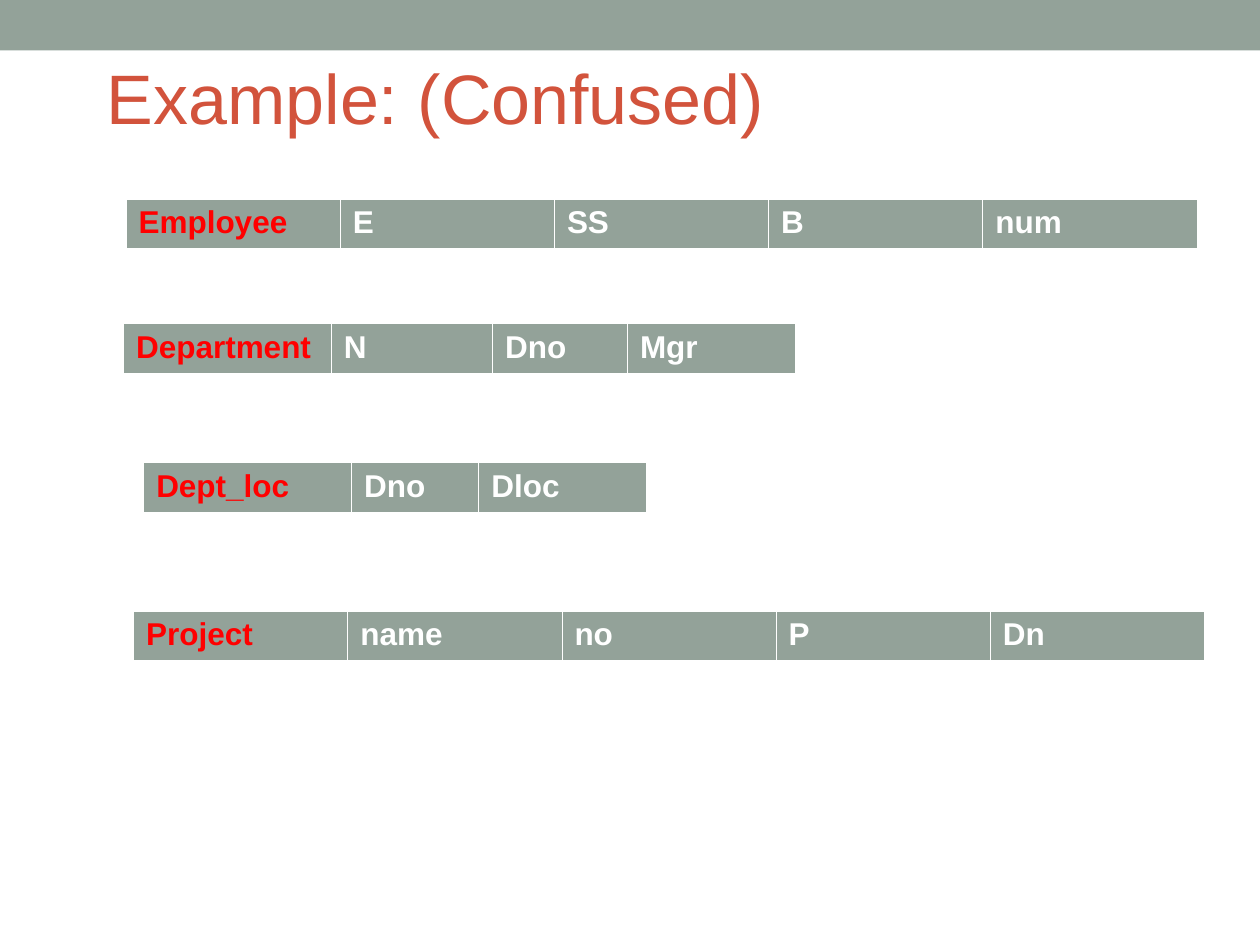
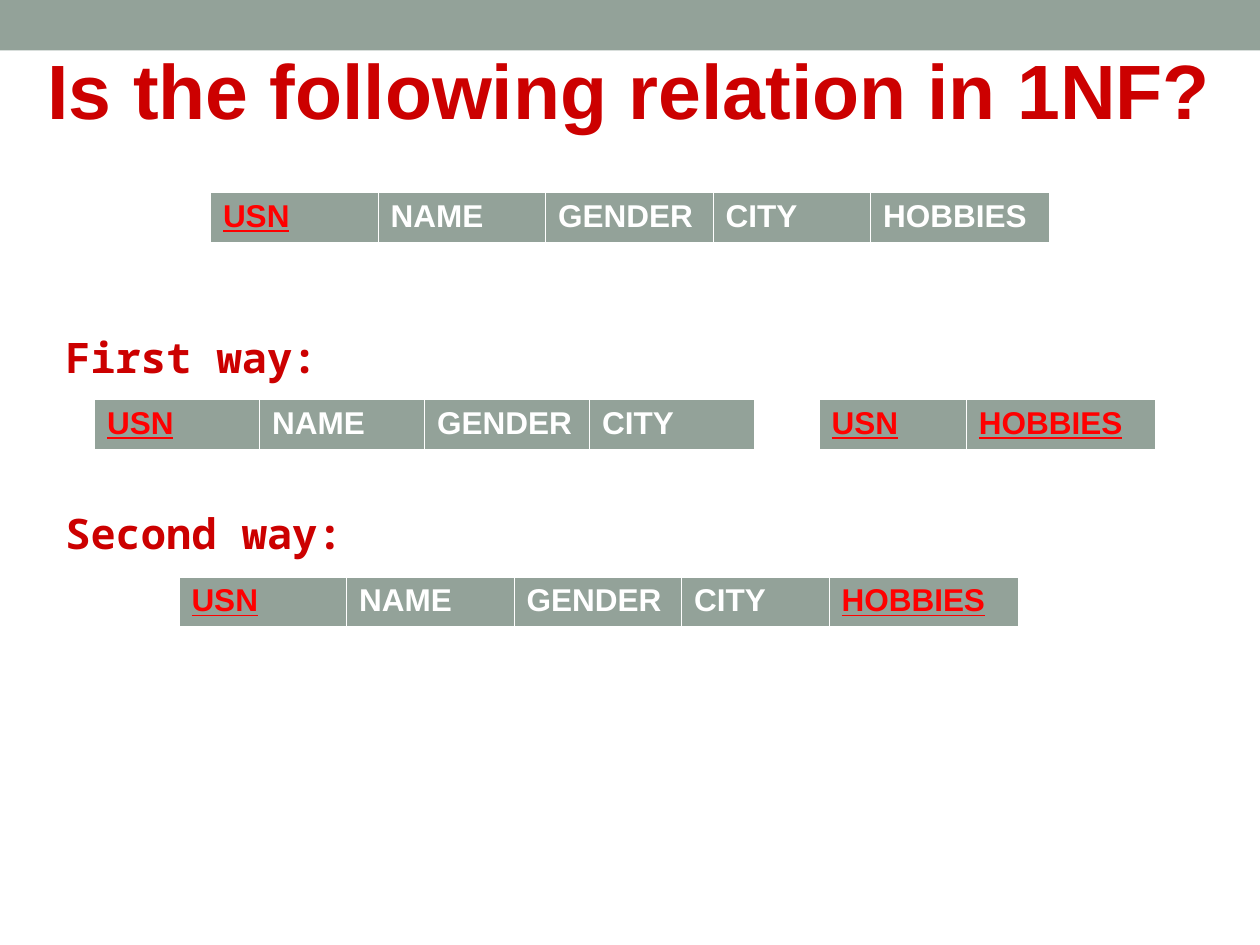
from lxml.etree import SubElement
from pptx import Presentation
from pptx.dml.color import RGBColor as RGB
from pptx.enum.shapes import MSO_SHAPE as SHAPE
from pptx.enum.text import MSO_ANCHOR as ANCHOR, PP_ALIGN as ALIGN
from pptx.oxml.ns import qn
from pptx.util import Inches, Pt

COLORS = {
    "sage": "93A299",
    "rust": "D2533C",
    "crimson": "CC0000",
    "red": "FF0000",
    "white": "FFFFFF",
}
CELL_FORMAT = {"name": "Arial", "size": Pt(18), "bold": True}
WAY_FORMAT = {"name": "Noto Sans Mono", "size": Pt(24), "bold": True}
BORDERS = {"a:lnL": 0.45, "a:lnR": 0.45, "a:lnT": 0.45, "a:lnB": 1.47}


def write(paragraph, text, color, font_format):
    run = paragraph.add_run()
    run.text = text
    for attribute, value in font_format.items():
        setattr(run.font, attribute, value)
    run.font.color.rgb = RGB.from_string(COLORS[color])


def add_relation(slide, left, top, columns, keys, underlined):
    width = sum(columns.values())
    frame = slide.shapes.add_table(
        1, len(columns), Inches(left), Inches(top), Inches(width), Inches(0.4))
    relation = frame.table
    relation.rows[0].height = Inches(0.4)
    for index, (field, field_width) in enumerate(columns.items()):
        relation.columns[index].width = Inches(field_width)
        cell = relation.cell(0, index)
        is_key = field in keys
        write(cell.text_frame.paragraphs[0], field, "red" if is_key else "white",
              CELL_FORMAT | {"underline": is_key and underlined})
        cell_properties = cell._tc.get_or_add_tcPr()
        for side, weight in BORDERS.items():
            border = SubElement(cell_properties, qn(side), w=str(Pt(weight)))
            paint = SubElement(border, qn("a:solidFill"))
            SubElement(paint, qn("a:srgbClr"), val=COLORS["white"])
        cell.fill.solid()
        cell.fill.fore_color.rgb = RGB.from_string(COLORS["sage"])


deck = Presentation()
deck.slide_width, deck.slide_height = Inches(10), Inches(7.5)

student = {"USN": 1.33, "NAME": 1.33, "GENDER": 1.33}
pages = [
    {
        "title": "Example: (Confused)",
        "box": (0.75, 0.14, 8.5, 1.25),
        "color": "rust",
        "align": ALIGN.LEFT,
        "format": {"name": "Arial", "size": Pt(40), "bold": False},
        "keys": {"Employee", "Department", "Dept_loc", "Project"},
        "underlined": False,
        "ways": [],
        "relations": [
            (1, 1.58, dict.fromkeys(["Employee", "E", "SS", "B", "num"], 1.7)),
            (0.98, 2.57, {"Department": 1.65, "N": 1.28, "Dno": 1.07, "Mgr": 1.33}),
            (1.14, 3.67, {"Dept_loc": 1.65, "Dno": 1.01, "Dloc": 1.33}),
            (1.06, 4.85, dict.fromkeys(["Project", "name", "no", "P", "Dn"], 1.7)),
        ],
    },
    {
        "title": "Is the following relation in 1NF?",
        "box": (0, 0.08, 10, 1.25),
        "color": "crimson",
        "align": ALIGN.CENTER,
        "format": {"name": "Arial", "size": Pt(44), "bold": True},
        "keys": {"USN"},
        "underlined": True,
        "ways": ["First way:", "Second way:"],
        "relations": [
            (1.67, 1.53, student | {"CITY": 1.25, "HOBBIES": 1.42}),
            (0.75, 3.17, dict.fromkeys([*student, "CITY"], 1.31)),
            (6.5, 3.17, {"USN": 1.17, "HOBBIES": 1.5}),
            (1.42, 4.58, student | {"CITY": 1.17, "HOBBIES": 1.5}),
        ],
    },
]

for page in pages:
    slide = deck.slides.add_slide(deck.slide_layouts[6])

    band = slide.shapes.add_shape(SHAPE.RECTANGLE, 0, 0, deck.slide_width, Inches(0.4))
    band.shadow.inherit = False
    band.fill.solid()
    band.fill.fore_color.rgb = RGB.from_string(COLORS["sage"])
    band.line.fill.background()

    title = slide.shapes.add_textbox(*map(Inches, page["box"])).text_frame
    title.word_wrap = True
    title.vertical_anchor = ANCHOR.MIDDLE
    title.paragraphs[0].alignment = page["align"]
    write(title.paragraphs[0], page["title"], page["color"], page["format"])

    if page["ways"]:
        ways = slide.shapes.add_textbox(*map(Inches, (0.42, 2.58, 8.75, 2.92))).text_frame
        ways.word_wrap = True
        for index, way in enumerate(page["ways"]):
            heading = ways.add_paragraph() if index else ways.paragraphs[0]
            heading.alignment = ALIGN.JUSTIFY
            if index:
                heading.space_before = Pt(72)
            write(heading, way, "crimson", WAY_FORMAT)

    for number, (left, top, columns) in enumerate(page["relations"]):
        split_keys = {"HOBBIES"} if page["ways"] and number > 1 else set()
        add_relation(slide, left, top, columns, page["keys"] | split_keys, page["underlined"])

deck.save("out.pptx")
